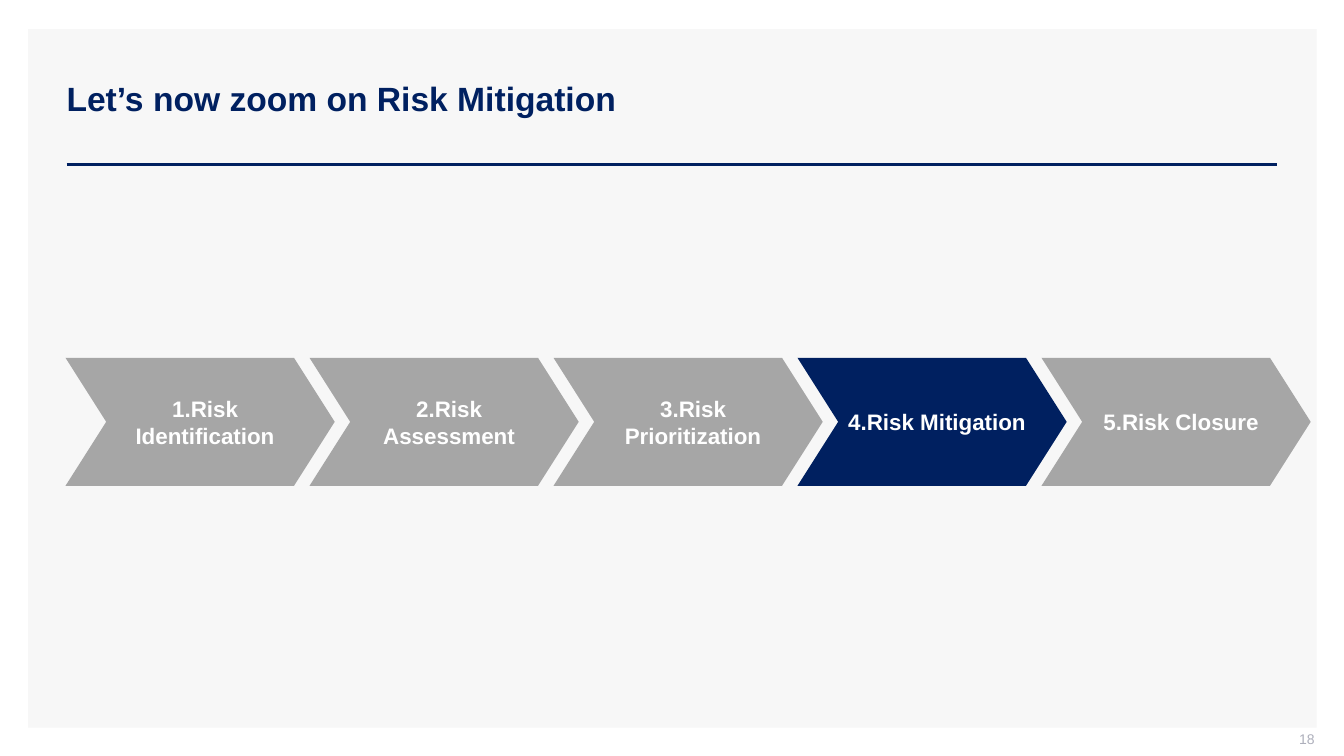
from lxml import etree
from pptx import Presentation
from pptx import util as u
from pptx.dml.color import RGBColor
from pptx.enum import shapes, text
from pptx.oxml.ns import qn

NAVY = RGBColor(0x00, 0x20, 0x60)
GREY = RGBColor(0xA6, 0xA6, 0xA6)
PANEL = RGBColor(0xF7, 0xF7, 0xF7)
NUMBER = RGBColor(0xAD, 0xAF, 0xBB)
WHITE = RGBColor(0xFF, 0xFF, 0xFF)


def write(box, words, size, color, bold=False, align=text.PP_ALIGN.LEFT,
          margins=(0.1, 0.05, 0.1, 0.05), line_spacing=1.0):
    frame = box.text_frame
    frame.word_wrap = True
    frame.auto_size = text.MSO_AUTO_SIZE.NONE
    frame.vertical_anchor = text.MSO_ANCHOR.MIDDLE
    (frame.margin_left, frame.margin_top,
     frame.margin_right, frame.margin_bottom) = map(u.Inches, margins)
    para = frame.paragraphs[0]
    para.alignment = align
    para.line_spacing = line_spacing
    span = para.add_run()
    span.text = words
    span.font.name = "Arial"
    span.font.size = u.Pt(size)
    span.font.bold = bold
    span.font.color.rgb = color


def add_filled(kind, left, top, width, height, color):
    shape = page.shapes.add_shape(kind, u.Inches(left), u.Inches(top),
                                  u.Inches(width), u.Inches(height))
    shape.shadow.inherit = False
    shape.fill.solid()
    shape.fill.fore_color.rgb = color
    shape.line.fill.background()
    return shape


deck = Presentation()
deck.slide_width = u.Inches(13.33)
deck.slide_height = u.Inches(7.5)
page = deck.slides.add_slide(deck.slide_layouts[5])

# Title
title = page.shapes.title
title.left, title.top = u.Inches(0.56), u.Inches(0.4)
title.width, title.height = u.Inches(12.11), u.Inches(1.19)
write(title, "Let’s now zoom on Risk Mitigation", 24, NAVY, bold=True, line_spacing=0.9)

# Background panel, placed behind the title
panel = add_filled(shapes.MSO_SHAPE.RECTANGLE, 0.28, 0.29, 12.78, 6.93, PANEL)
title.element.addprevious(panel.element)

# Rule under the title
rule = page.shapes.add_connector(shapes.MSO_CONNECTOR.STRAIGHT, u.Inches(0.66),
                                 u.Inches(1.63), u.Inches(12.67), u.Inches(1.63))
rule.line.color.rgb = NAVY
rule.line.width = u.Pt(2)
etree.SubElement(rule.element.spPr, qn("a:effectLst"))

# Process steps, with the current one highlighted
steps = ["Identification", "Assessment", "Prioritization", "Mitigation", "Closure"]
current = "Mitigation"
for index, step in enumerate(steps):
    chevron = add_filled(shapes.MSO_SHAPE.CHEVRON, 0.65 + 2.42 * index, 3.55, 2.67, 1.27,
                         NAVY if step == current else GREY)
    chevron.adjustments[0] = 0.318
    write(chevron, f"{index + 1}.Risk {step}", 16, WHITE, bold=True,
          align=text.PP_ALIGN.CENTER, margins=(0.1, 0.05, 0, 0.05))

# Page number
number = page.shapes.add_textbox(u.Inches(10.04), u.Inches(7.25), u.Inches(3), u.Inches(0.21))
write(number, "18", 10, NUMBER, align=text.PP_ALIGN.RIGHT, margins=(0.1, 0, 0, 0.05))

deck.save("out.pptx")
